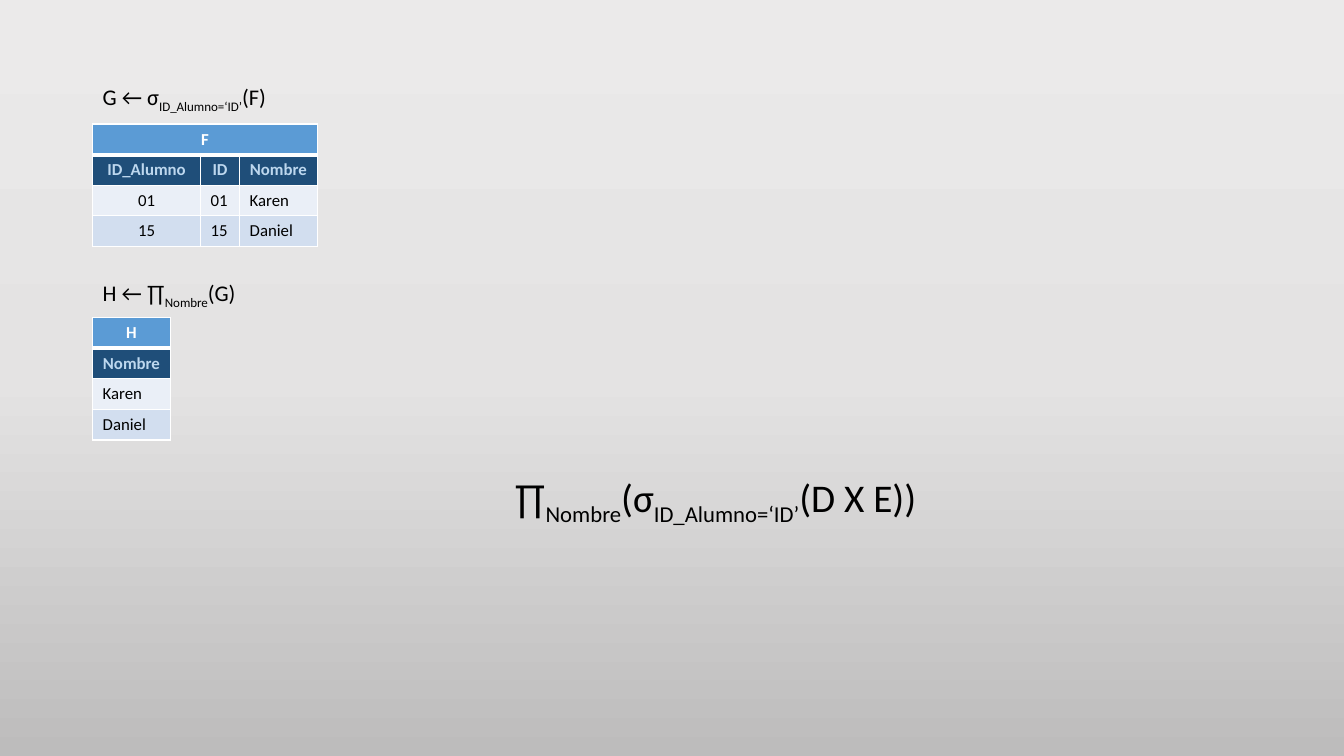
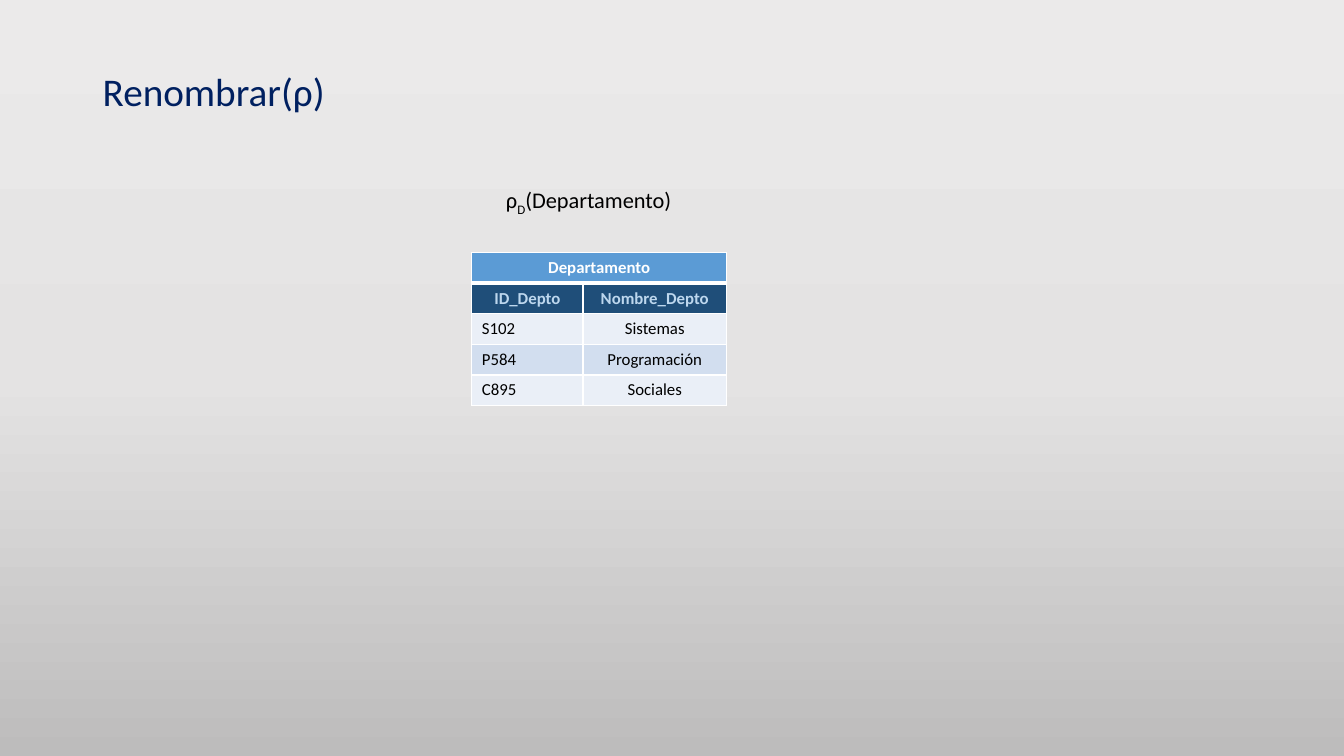
from copy import deepcopy

from lxml import etree
from pptx import Presentation
from pptx.dml.color import RGBColor
from pptx.enum import text
from pptx.oxml import ns
from pptx.util import Pt

FONT = "Calibri"
BLACK = RGBColor(0x00, 0x00, 0x00)
WHITE = RGBColor(0xFF, 0xFF, 0xFF)
NAVY = RGBColor(0x00, 0x20, 0x60)
CAPTION_BLUE = RGBColor(0x5B, 0x9B, 0xD5)
HEADER_BLUE = RGBColor(0x1F, 0x4E, 0x79)
HEADER_TEXT = RGBColor(0xBD, 0xD7, 0xEE)
BANDS = (RGBColor(0xEA, 0xEF, 0xF7), RGBColor(0xD2, 0xDE, 0xEF))
BACKDROP = (
    (0, RGBColor(0xEB, 0xEA, 0xEA)),
    (0.5, RGBColor(0xE4, 0xE3, 0xE3)),
    (1, RGBColor(0xBD, 0xBC, 0xBC)),
)
LEFT, WIDTH = 66.2, 828
ROW_HEIGHT = 21.8
CENTER, START = text.PP_ALIGN.CENTER, text.PP_ALIGN.LEFT


class Deck:
    """Holds the shared style and the slide being built."""

    def __init__(self):
        self.presentation = Presentation()
        self.presentation.slide_width = Pt(960)
        self.presentation.slide_height = Pt(540)
        self.slide = None
        self.paint_background()

    def paint_background(self):
        master = self.presentation.slide_master
        fill = master.background.fill
        fill.gradient()
        fill.gradient_angle = 270
        stop_list = master.element.find(".//" + ns.qn("a:gsLst"))
        stop_list.append(deepcopy(stop_list[-1]))
        for stop, (position, color) in zip(fill.gradient_stops, BACKDROP):
            stop.position = position
            stop.color.rgb = color

    def add_slide(self):
        layout = self.presentation.slide_layouts.get_by_name("Title and Content")
        self.slide = self.presentation.slides.add_slide(layout)

    def style(self, paragraph, size, color, bold=False, align=START):
        paragraph.alignment = align
        font = paragraph.font
        font.name, font.size, font.bold = FONT, Pt(size), bold
        font.color.rgb = color

    def place(self, shape, top, height):
        shape.left, shape.top = Pt(LEFT), Pt(top)
        shape.width, shape.height = Pt(WIDTH), Pt(height)
        frame = shape.text_frame
        frame.auto_size = text.MSO_AUTO_SIZE.NONE
        frame.vertical_anchor = text.MSO_ANCHOR.TOP
        return frame

    def title(self, words, top, height):
        paragraph = self.place(self.slide.shapes.title, top, height).paragraphs[0]
        paragraph.text = words
        paragraph.line_spacing = 0.9
        self.style(paragraph, 28, NAVY)

    def drop_title(self):
        element = self.slide.shapes.title.element
        element.getparent().remove(element)

    def formulas(self, lines, top, height):
        """Fill the body with formulas whose every second piece is a subscript."""
        frame = self.place(self.slide.placeholders[1], top, height)
        for index, (pieces, size, indent, gap) in enumerate(lines):
            paragraph = frame.add_paragraph() if index else frame.paragraphs[0]
            paragraph.line_spacing = 0.9
            paragraph.space_before = Pt(gap)
            properties = paragraph._p.get_or_add_pPr()
            properties.set("marL", str(Pt(indent)))
            properties.set("indent", "0")
            etree.SubElement(properties, ns.qn("a:buNone"))
            self.style(paragraph, size, BLACK)
            for position, piece in enumerate(pieces):
                run = paragraph.add_run()
                run.text = piece
                if position % 2:
                    run._r.get_or_add_rPr().set("baseline", "-25000")

    def borders(self, cell, row):
        properties = cell._tc.get_or_add_tcPr()
        widths = {"L": 1, "R": 1, "T": 3 if row == 1 else 1, "B": 3 if row == 0 else 1}
        for side, width in widths.items():
            line = etree.SubElement(properties, ns.qn("a:ln" + side), w=str(Pt(width)))
            fill = etree.SubElement(line, ns.qn("a:solidFill"))
            etree.SubElement(fill, ns.qn("a:srgbClr"), val=str(WHITE))

    def table(self, left, top, widths, caption, header, records, aligns):
        rows = [[caption] + [""] * (len(widths) - 1), header, *records]
        table = self.slide.shapes.add_table(
            len(rows), len(widths), Pt(left), Pt(top),
            Pt(sum(widths)), Pt(ROW_HEIGHT * len(rows))).table
        table.first_row = table.horz_banding = False
        for column, width in zip(table.columns, widths):
            column.width = Pt(width)
        for r, row in enumerate(rows):
            table.rows[r].height = Pt(ROW_HEIGHT)
            fill = (CAPTION_BLUE, HEADER_BLUE)[r] if r < 2 else BANDS[r % 2]
            color = (WHITE, HEADER_TEXT)[r] if r < 2 else BLACK
            for c, words in enumerate(row):
                cell = table.cell(r, c)
                self.borders(cell, r)
                cell.fill.solid()
                cell.fill.fore_color.rgb = fill
                cell.text = words
                self.style(cell.text_frame.paragraphs[0], 12, color, r < 2,
                           CENTER if r < 2 else aligns[c])
        if len(widths) > 1:
            table.cell(0, 0).merge(table.cell(0, len(widths) - 1))


def main():
    deck = Deck()

    deck.add_slide()
    deck.drop_title()
    deck.formulas([
        (("G ← σ", "ID_Alumno=‘ID’", "(F)"), 16, 0, 0),
        (("H ← ∏", "Nombre", "(G)"), 16, 0, 120.4),
        (("∏", "Nombre", "(σ", "ID_Alumno=‘ID’", "(D X E))"), 28, 294, 119),
    ], 56.2, 348)
    deck.table(LEFT, 88.6, (77, 28, 55.4), "F", ["ID_Alumno", "ID", "Nombre"],
               [["01", "01", "Karen"], ["15", "15", "Daniel"]], (CENTER, START, START))
    deck.table(LEFT, 226.8, (55.4,), "H", ["Nombre"], [["Karen"], ["Daniel"]], (START,))

    deck.add_slide()
    deck.title("Renombrar(ρ)", 48.2, 50)
    deck.formulas([(("ρ", "D", "(Departamento)"), 16, 288, 0)], 129.7, 357)
    deck.table(337, 180.4, (79.4, 102.6), "Departamento", ["ID_Depto", "Nombre_Depto"],
               [["S102", "Sistemas"], ["P584", "Programación"], ["C895", "Sociales"]],
               (START, CENTER))

    deck.presentation.save("out.pptx")


if __name__ == "__main__":
    main()
